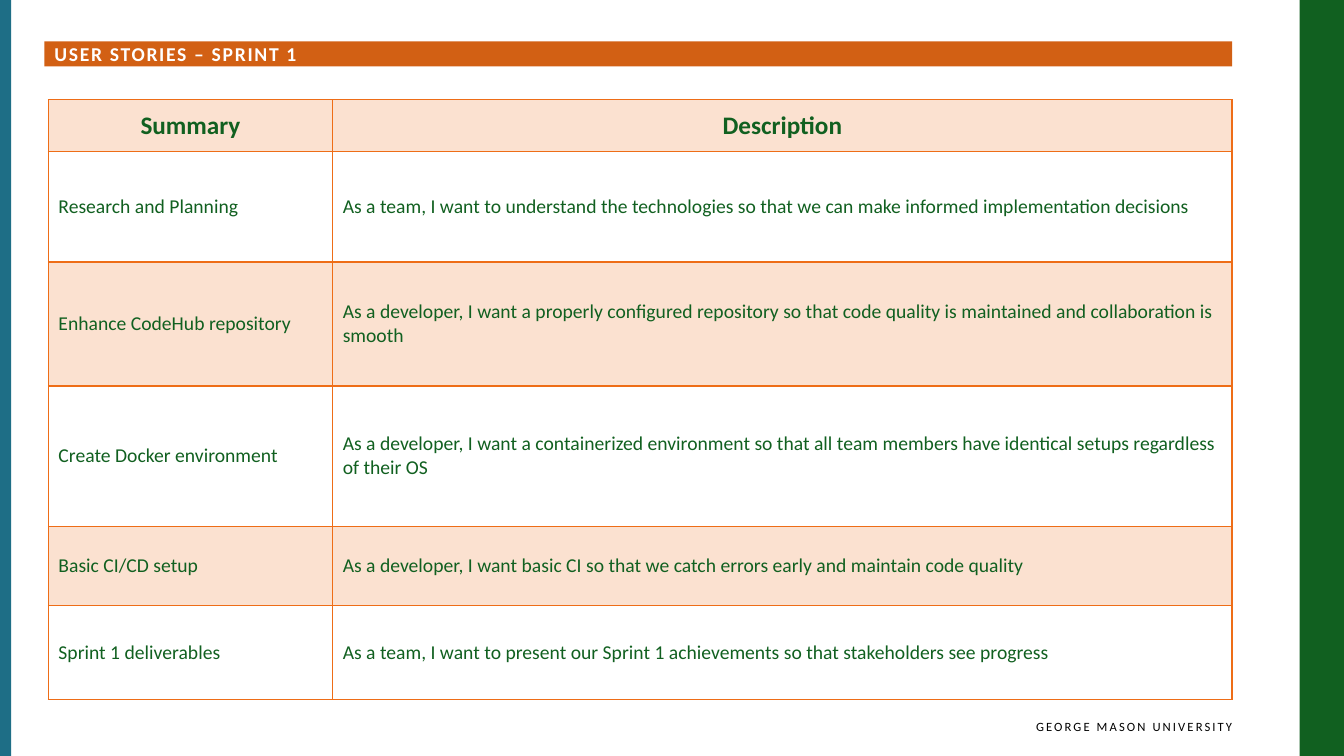
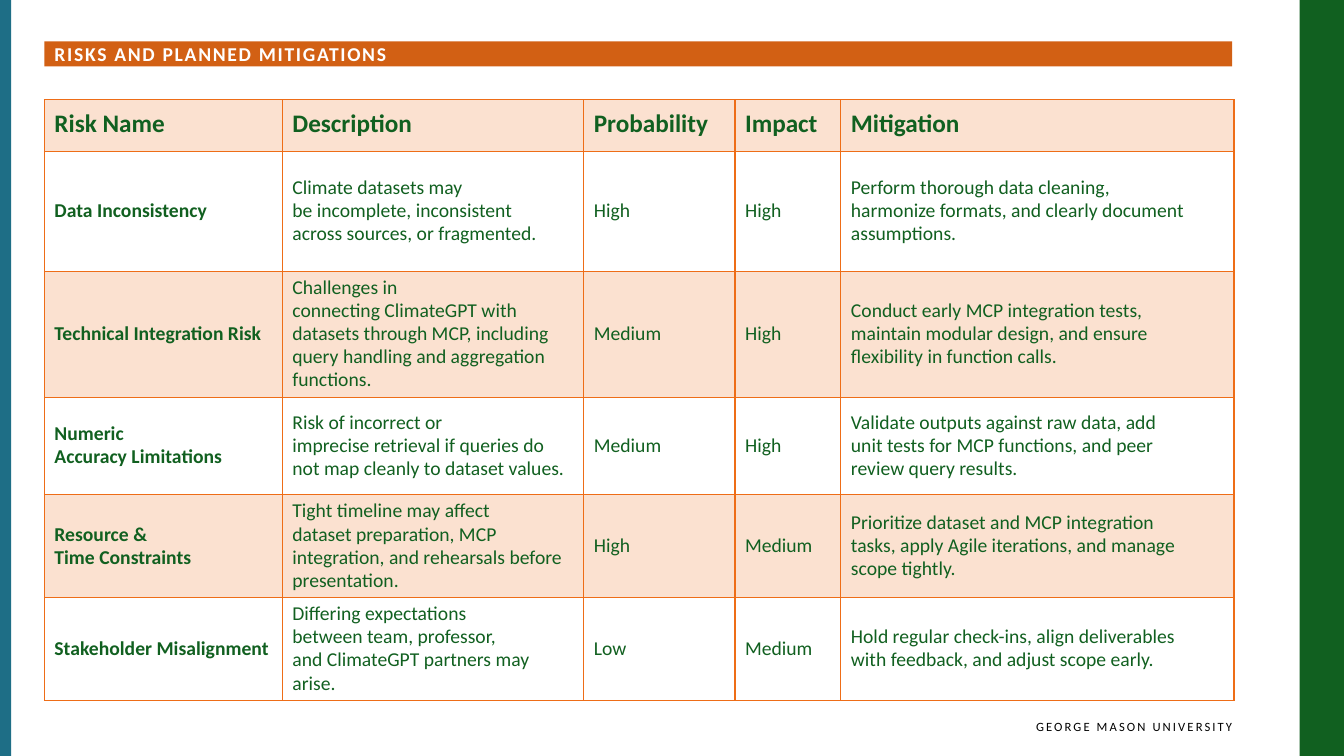
import pptx
import pptx.util
import pptx.dml.color
import pptx.enum.shapes
import pptx.enum.text
import pptx.oxml
from dataclasses import dataclass
from pptx.util import Inches

ALIGN = pptx.enum.text.PP_ALIGN
ANCHOR = pptx.enum.text.MSO_ANCHOR


@dataclass(frozen=True)
class Theme:
    font: str = "Calibri"
    green: str = "116020"
    teal: str = "1E6E86"
    title_band: str = "D26014"
    orange: str = "EE6D17"
    white: str = "FFFFFF"
    black: str = "000000"
    header_size: int = 18
    text_size: int = 14
    footer_size: int = 9
    tint_percent: int = 20
    border_points: int = 1


THEME = Theme()
HARD_SPACE_MARK = "~"
HARD_SPACE = chr(160)
FOOTER = "GEORGE MASON UNIVERSITY"
SIDE_BANDS = [
    (12.89, 0.44, THEME.green),
    (0, 0.11, THEME.teal),
]

PAGES = [
    {
        "title": "USER STORIES – SPRINT 1",
        "left": 0.48,
        "columns": [2.82, 8.92],
        "rows": [0.51, 1.1, 1.23, 1.39, 0.79, 0.93],
        "header_align": ALIGN.CENTER,
        "bold_first_column": False,
        "line_points": None,
        "cells": [
            ("Summary", "Description"),
            ("Research and Planning",
             "As a team, I want to understand the technologies so that we can make informed implementation decisions"),
            ("Enhance CodeHub repository",
             "As a developer, I want a properly configured repository so that code quality is maintained and collaboration is smooth"),
            ("Create Docker environment",
             "As a developer, I want a containerized environment so that all team members have identical setups regardless of their OS"),
            ("Basic CI/CD setup",
             "As a developer, I want basic CI so that we catch errors early and maintain code quality"),
            ("Sprint 1 deliverables",
             "As a team, I want to present our Sprint 1 achievements so that stakeholders see progress"),
        ],
    },
    {
        "title": "RISKS AND PLANNED MITIGATIONS",
        "left": 0.44,
        "columns": [2.36, 2.99, 1.5, 1.05, 3.9],
        "rows": [0.51, 1.19, 1.25, 0.97, 1.02, 1.02],
        "header_align": ALIGN.LEFT,
        "bold_first_column": True,
        "line_points": (19.5, 16.5),
        "cells": [
            ("Risk Name", "Description", "Probability", "Impact", "Mitigation"),
            ("Data Inconsistency",
             "Climate datasets may be~incomplete, inconsistent across~sources, or fragmented.",
             "High", "High",
             "Perform thorough data cleaning, harmonize~formats, and clearly document assumptions."),
            ("Technical Integration Risk",
             "Challenges in connecting~ClimateGPT~with datasets through~MCP, including query handling and~aggregation functions.",
             "Medium", "High",
             "Conduct early MCP integration tests, maintain~modular design, and ensure flexibility in~function calls."),
            ("Numeric Accuracy~Limitations",
             "Risk of incorrect or imprecise~retrieval if queries do not map~cleanly to dataset values.",
             "Medium", "High",
             "Validate outputs against raw data, add unit~tests for MCP functions, and peer review~query results."),
            ("Resource & Time~Constraints",
             "Tight timeline may affect dataset~preparation, MCP integration, and~rehearsals before presentation.",
             "High", "Medium",
             "Prioritize dataset and MCP integration tasks,~apply Agile iterations, and manage scope~tightly."),
            ("Stakeholder Misalignment",
             "Differing expectations between~team, professor, and~ClimateGPT~partners may arise.",
             "Low", "Medium",
             "Hold regular check-ins, align deliverables with~feedback, and adjust scope early."),
        ],
    },
]


def paint(fill, color):
    fill.solid()
    fill.fore_color.rgb = pptx.dml.color.RGBColor.from_string(color)


def write(frame, text, size, color, bold=False, align=ALIGN.LEFT, tracking=None):
    para = frame.paragraphs[0]
    span = para.add_run()
    span.text = text.replace(HARD_SPACE_MARK, HARD_SPACE)
    para.alignment = align
    para.font.name = THEME.font
    para.font.size = pptx.util.Pt(size)
    para.font.bold = bold
    para.font.color.rgb = pptx.dml.color.RGBColor.from_string(color)
    if tracking:
        span._r.get_or_add_rPr().set("spc", str(round(tracking * 100)))
    return para


def set_margins(frame, left, top, right, bottom):
    frame.margin_left, frame.margin_top = Inches(left), Inches(top)
    frame.margin_right, frame.margin_bottom = Inches(right), Inches(bottom)


def move_shared_parts(page, layout, height):
    for placeholder in list(layout.placeholders):
        if placeholder.placeholder_format.type != pptx.enum.shapes.PP_PLACEHOLDER.TITLE:
            placeholder._element.getparent().remove(placeholder._element)
    shared = []
    for left, width, color in SIDE_BANDS:
        band = page.shapes.add_shape(
            pptx.enum.shapes.MSO_SHAPE.RECTANGLE, Inches(left), 0, Inches(width), height)
        band.shadow.inherit = False
        paint(band.fill, color)
        band.line.fill.background()
        shared.append(band)
    box = page.shapes.add_textbox(Inches(6.78), Inches(7.08), Inches(5.44), Inches(0.33))
    box.text_frame.word_wrap = True
    set_margins(box.text_frame, 0.1, 0.05, 0, 0.05)
    write(box.text_frame, FOOTER, THEME.footer_size, THEME.black, align=ALIGN.RIGHT, tracking=1.5)
    shared.append(box)
    for shape in shared:
        layout.shapes._spTree.append(shape._element)


def add_title(page, text):
    title = page.shapes.title
    title.left, title.top = Inches(0.44), Inches(0.41)
    title.width, title.height = Inches(11.78), Inches(0.25)
    paint(title.fill, THEME.title_band)
    frame = title.text_frame
    frame.auto_size = pptx.enum.text.MSO_AUTO_SIZE.NONE
    frame.vertical_anchor = ANCHOR.MIDDLE
    set_margins(frame, 0.1, 0, 0.1, 0)
    write(frame, text, THEME.text_size, THEME.white, bold=True, tracking=1.2)


def style_cell(cell, tinted):
    properties = cell._tc.get_or_add_tcPr()
    for side in ("lnL", "lnR", "lnT", "lnB"):
        properties.append(pptx.oxml.parse_xml(
            f'<a:{side} xmlns:a="http://schemas.openxmlformats.org/drawingml/2006/main" '
            f'w="{pptx.util.Pt(THEME.border_points)}"><a:solidFill>'
            f'<a:srgbClr val="{THEME.orange}"/></a:solidFill></a:{side}>'))
    if tinted:
        paint(cell.fill, THEME.orange)
        color = properties.find(pptx.oxml.ns.qn("a:solidFill"))[0]
        alpha = color.makeelement(pptx.oxml.ns.qn("a:alpha"), {"val": str(THEME.tint_percent * 1000)})
        color.append(alpha)
    else:
        cell.fill.background()
    cell.vertical_anchor = ANCHOR.MIDDLE


def add_grid(page, content):
    columns, rows = content["columns"], content["rows"]
    table = page.shapes.add_table(
        len(rows), len(columns), Inches(content["left"]), Inches(0.99),
        Inches(sum(columns)), Inches(sum(rows))).table
    table.first_row = table.horz_banding = False
    for column, width in zip(table.columns, columns):
        column.width = Inches(width)
    for row, height in zip(table.rows, rows):
        row.height = Inches(height)
    for r, texts in enumerate(content["cells"]):
        header = r == 0
        for c, text in enumerate(texts):
            cell = table.cell(r, c)
            style_cell(cell, tinted=r % 2 == 0)
            para = write(
                cell.text_frame, text,
                THEME.header_size if header else THEME.text_size, THEME.green,
                bold=header or (c == 0 and content["bold_first_column"]),
                align=content["header_align"] if header else ALIGN.LEFT)
            if content["line_points"]:
                para.line_spacing = pptx.util.Pt(content["line_points"][0 if header else 1])


def main():
    deck = pptx.Presentation()
    deck.slide_width, deck.slide_height = Inches(13.33), Inches(7.5)
    layout = deck.slide_layouts[5]
    pages = [deck.slides.add_slide(layout) for _ in PAGES]
    move_shared_parts(pages[0], layout, deck.slide_height)
    for page, content in zip(pages, PAGES):
        add_title(page, content["title"])
        add_grid(page, content)
    deck.save("out.pptx")


if __name__ == "__main__":
    main()
